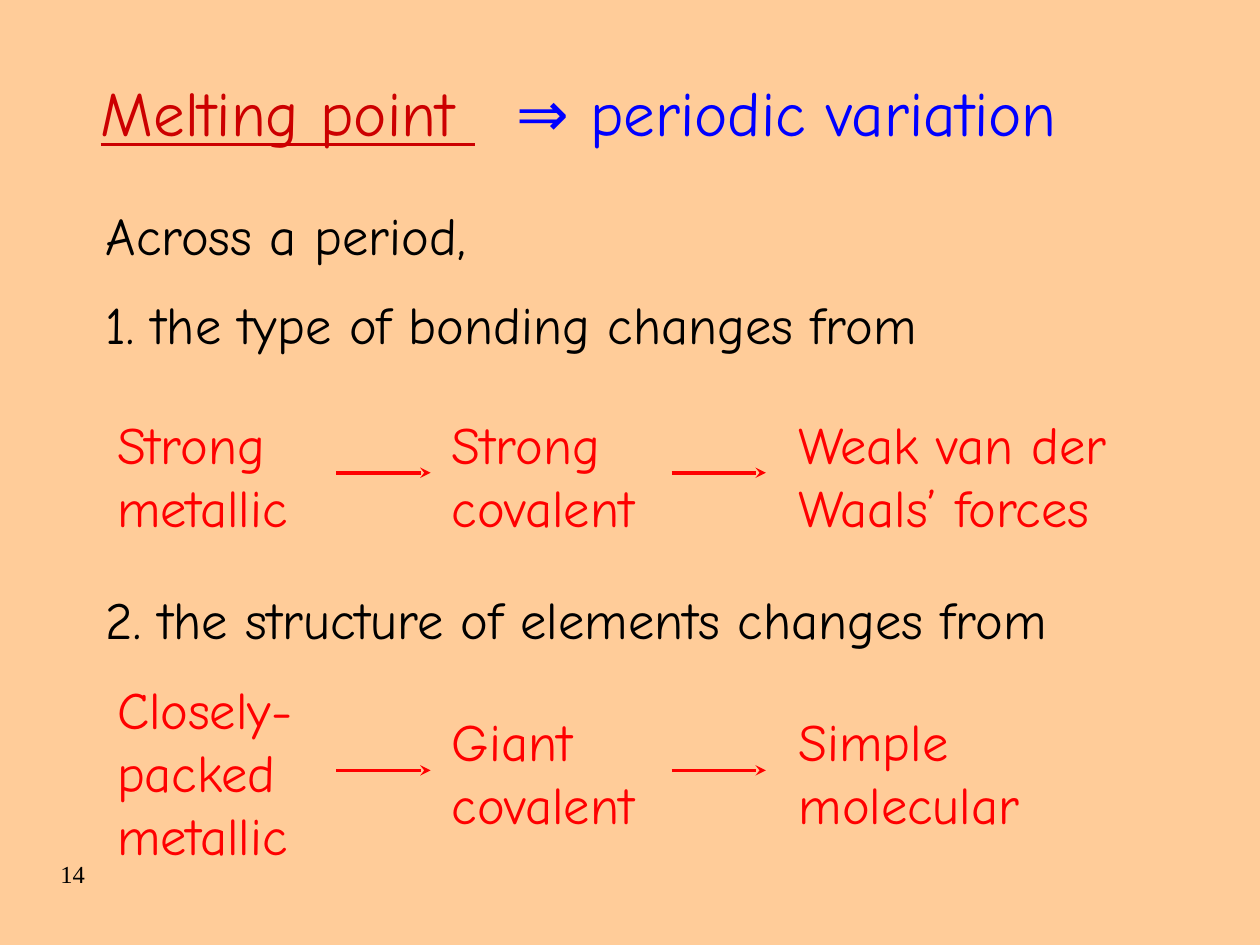
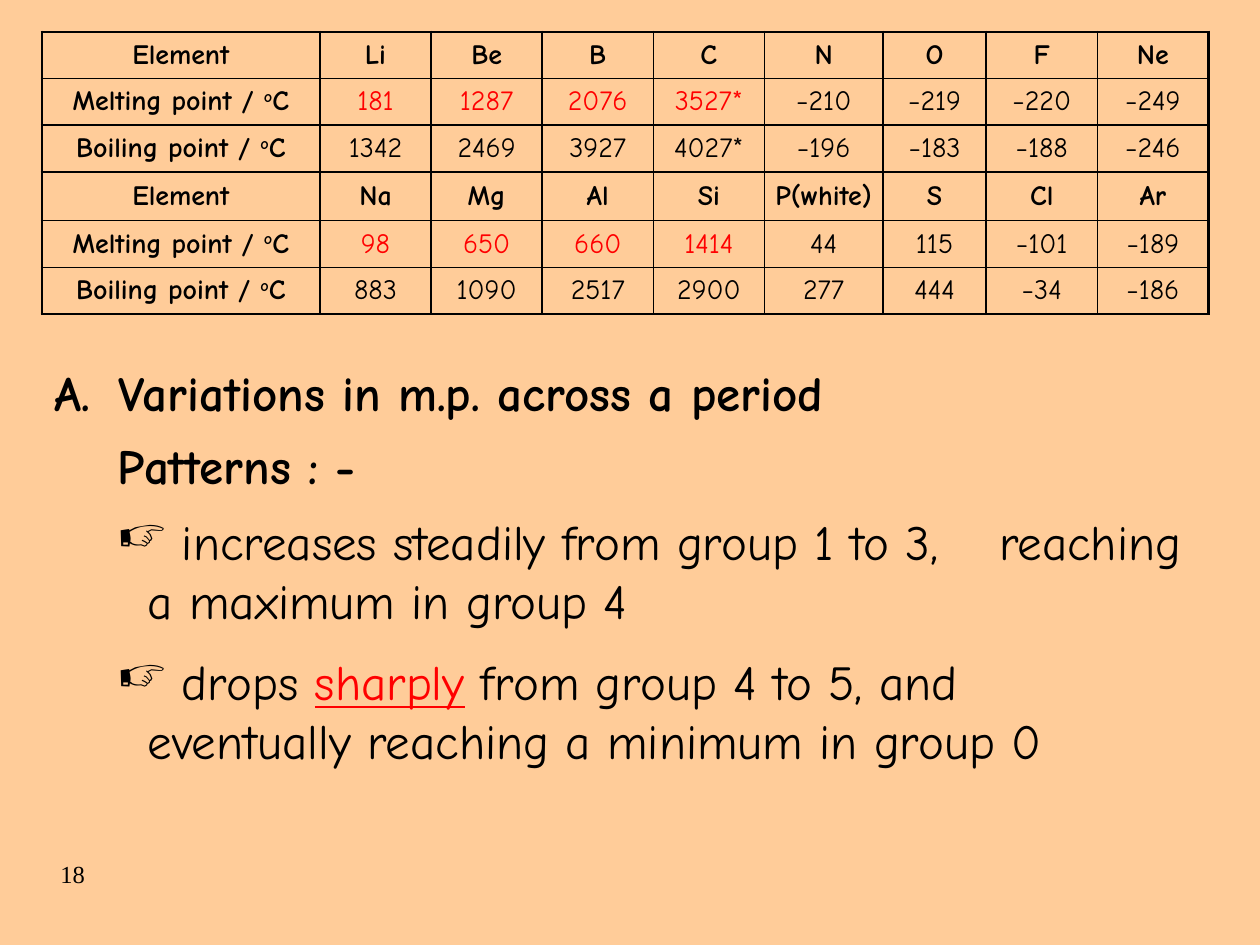
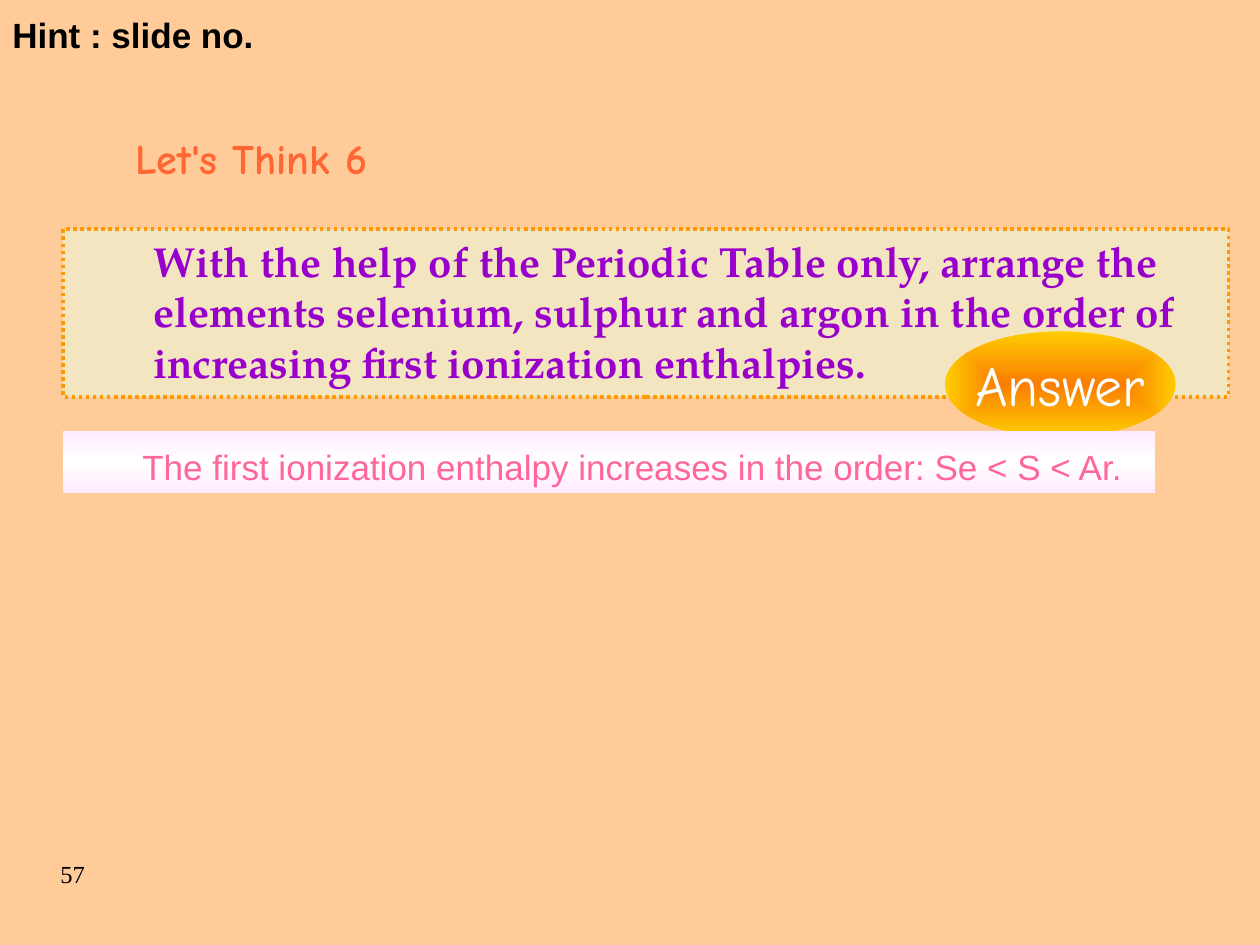
from dataclasses import dataclass

from lxml import etree
from pptx import Presentation
from pptx.dml.color import RGBColor
from pptx.enum.dml import MSO_LINE
from pptx.enum.shapes import MSO_CONNECTOR, MSO_SHAPE
from pptx.enum.text import MSO_ANCHOR, PP_ALIGN
from pptx.oxml.ns import qn
from pptx.util import Cm, Pt

MIDDLE = MSO_ANCHOR.MIDDLE
TOP = MSO_ANCHOR.TOP
LEFT = PP_ALIGN.LEFT
CENTER = PP_ALIGN.CENTER
STRAIGHT = MSO_CONNECTOR.STRAIGHT
RECTANGLE = MSO_SHAPE.RECTANGLE
OVAL = MSO_SHAPE.OVAL
ROUND_DOT = MSO_LINE.ROUND_DOT


@dataclass(frozen=True)
class Theme:
    """Colours, fonts and type sizes shared by the slides."""

    background: str = "FFCC99"
    ink: str = "000000"
    red: str = "FF0000"
    title: str = "CC0000"
    blue: str = "0000FF"
    question: str = "9900CC"
    question_fill: str = "E7FFE7"
    question_line: str = "FF9900"
    answer: str = "FF6699"
    answer_edge: str = "FFEBFF"
    heading: str = "FF6633"
    button_core: str = "F97E03"
    button_edge: str = "FFCC00"
    white: str = "FFFFFF"
    hand: str = "Comic Neue"
    serif: str = "TeX Gyre Pagella"
    sans: str = "Arial"
    number_font: str = "Times New Roman"
    title_size: int = 36
    button_size: int = 32
    body_size: int = 30
    list_size: int = 28
    question_size: int = 24
    hint_size: int = 20
    table_size: int = 16
    number_size: int = 14


THEME = Theme()

DEGREES = [("o", {"baseline": 30000}), "C"]
TABLE_ROWS = [
    ["Element", "Li", "Be", "B", "C", "N", "O", "F", "Ne"],
    ["Melting point / ", "181", "1287", "2076", "3527*", "−210", "−219", "−220", "−249"],
    ["Boiling point / ", "1342", "2469", "3927", "4027*", "−196", "−183", "−188", "−246"],
    ["Element", "Na", "Mg", "Al", "Si", "P(white)", "S", "Cl", "Ar"],
    ["Melting point / ", "98", "650", "660", "1414", "44", "115", "−101", "−189"],
    ["Boiling point / ", "883", "1090", "2517", "2900", "277", "444", "−34", "−186"],
]
COLUMN_WIDTHS = [5.61, 2.24, 2.24, 2.24, 2.24, 2.39, 2.08, 2.24, 2.24]
ROW_HEIGHTS = [0.94, 0.94, 0.94, 0.99, 0.94, 0.94]
ROWS_PER_PERIOD = 3


def rgb(color):
    """Turn a hex string into a colour."""
    return RGBColor.from_string(color)


def lengths(*values):
    """Turn centimetre values into lengths."""
    return [Cm(value) for value in values]


def format_run(run, size, color, font, bold=False, underline=False, baseline=0):
    """Set the character format of a run."""
    run.font.name = font
    run.font.size = Pt(size)
    run.font.bold = bold
    run.font.underline = underline
    run.font.color.rgb = rgb(color)
    if baseline:
        run._r.get_or_add_rPr().set("baseline", str(baseline))


def write_text(frame, *paragraphs, align=LEFT, anchor=TOP, wrap=True, indent=0, hanging=0,
               space_before=0, line_spacing=None, bullet=None, size=THEME.body_size,
               color=THEME.ink, font=THEME.hand, **style):
    """Fill a text frame; a paragraph is a string or a list of strings and (string, style) runs."""
    frame.word_wrap = wrap
    frame.vertical_anchor = anchor
    for index, runs in enumerate(paragraphs):
        paragraph = frame.add_paragraph() if index else frame.paragraphs[0]
        paragraph.alignment = align
        if index and space_before:
            paragraph.space_before = Pt(space_before)
        if line_spacing:
            paragraph.line_spacing = line_spacing
        properties = paragraph._p.get_or_add_pPr()
        if indent:
            properties.set("marL", str(Cm(indent)))
            properties.set("indent", str(-Cm(hanging)))
        if bullet:
            etree.SubElement(properties, qn("a:buChar"), char=bullet)
        for part in [runs] if isinstance(runs, str) else runs:
            text, changes = (part, {}) if isinstance(part, str) else part
            run = paragraph.add_run()
            run.text = text
            format_run(run, **{"size": size, "color": color, "font": font, **style, **changes})


def add_text(container, box, *paragraphs, **style):
    """Add a text box at box (left, top, width, height in cm)."""
    shape = container.shapes.add_textbox(*lengths(*box))
    write_text(shape.text_frame, *paragraphs, **style)


def add_panel(slide, kind, box, text, **style):
    """Add a preset shape with text and no line or shadow."""
    shape = slide.shapes.add_shape(kind, *lengths(*box))
    shape.shadow.inherit = False
    shape.line.fill.background()
    write_text(shape.text_frame, text, **style)
    return shape


def fill_gradient(shape, *colors, radial=False):
    """Fill a shape with evenly spaced colours, downwards or outwards from the centre."""
    shape.fill.gradient()
    gradient = shape._element.spPr.find(qn("a:gradFill"))
    gradient.clear()
    stops = etree.SubElement(gradient, qn("a:gsLst"))
    for index, color in enumerate(colors):
        position = 100000 * index // (len(colors) - 1)
        stop = etree.SubElement(stops, qn("a:gs"), pos=str(position))
        etree.SubElement(stop, qn("a:srgbClr"), val=color)
    if radial:
        outline = etree.SubElement(gradient, qn("a:path"), path="shape")
        etree.SubElement(outline, qn("a:fillToRect"), l="50000", t="50000", r="50000", b="50000")
    else:
        etree.SubElement(gradient, qn("a:lin"), ang="5400000", scaled="1")


def add_arrow(container, left, right, y):
    """Add a horizontal arrow that points right."""
    arrow = container.shapes.add_connector(STRAIGHT, *lengths(left, y, right, y))
    arrow.line.color.rgb = rgb(THEME.red)
    arrow.line.width = Pt(2)
    etree.SubElement(arrow.line._get_or_add_ln(), qn("a:tailEnd"), type="stealth")
    etree.SubElement(arrow._element.spPr, qn("a:effectLst"))


def add_change(slide, center, stages):
    """Add a row of (text, line count) stages joined by arrows."""
    group = slide.shapes.add_group_shape()
    places = [(2.11, 5.11), (8.86, 5.11), (15.85, 7.65)]
    for (left, width), (text, line_count) in zip(places, stages):
        height = 1.29 * line_count + 0.25
        add_text(group, (left, center - height / 2, width, height), text, color=THEME.red)
    for left in (6.78, 13.54):
        add_arrow(group, left, left + 1.9, center - 0.06)


def set_borders(cell, **widths):
    """Draw the cell borders with widths in points, in the order left, right, top, bottom."""
    properties = cell._tc.get_or_add_tcPr()
    for position, (side, width) in enumerate(widths.items()):
        line = etree.Element(qn(f"a:ln{side}"), w=str(Pt(width)))
        fill = etree.SubElement(line, qn("a:solidFill"))
        etree.SubElement(fill, qn("a:srgbClr"), val=THEME.ink)
        properties.insert(position, line)


def border_width(heavy):
    """Give the width of a heavy or a light rule."""
    return 1.5 if heavy else 1


def add_element_table(slide):
    """Add the table of melting and boiling points."""
    box = lengths(0.84, 0.64, sum(COLUMN_WIDTHS), sum(ROW_HEIGHTS))
    table = slide.shapes.add_table(len(TABLE_ROWS), len(COLUMN_WIDTHS), *box).table
    table.first_row = table.horz_banding = False
    for column, width in zip(table.columns, COLUMN_WIDTHS):
        column.width = Cm(width)
    for row, height in zip(table.rows, ROW_HEIGHTS):
        row.height = Cm(height)
    last = len(COLUMN_WIDTHS) - 1
    for row_index, values in enumerate(TABLE_ROWS):
        step = row_index % ROWS_PER_PERIOD
        for column_index, value in enumerate(values):
            cell = table.cell(row_index, column_index)
            cell.margin_left = cell.margin_right = Cm(0.05)
            cell.margin_top = cell.margin_bottom = 0
            cell.vertical_anchor = MIDDLE
            cell.fill.background()
            is_label = column_index == 0
            is_rising = step == 1 and 1 <= column_index <= 4
            write_text(cell.text_frame, [value, *DEGREES] if is_label and step else value,
                       anchor=None, wrap=None, align=CENTER, size=THEME.table_size,
                       bold=is_label or step == 0,
                       color=THEME.red if is_rising else THEME.ink)
            set_borders(cell, L=border_width(column_index <= 1),
                        R=border_width(column_index in (0, last)),
                        T=border_width(step == 0),
                        B=border_width(step == ROWS_PER_PERIOD - 1))


def add_slide(presentation, number):
    """Add a blank slide with its number."""
    slide = presentation.slides.add_slide(presentation.slide_layouts[6])
    add_text(slide, (0.97, 17.2, 3.61, 1.27), number,
             size=THEME.number_size, font=THEME.number_font)
    return slide


def build_variation(presentation):
    """Build the slide on bonding and structure across a period."""
    slide = add_slide(presentation, "14")
    titles = [(1.78, "Melting point ", THEME.title, True),
              (10.16, "⇒ periodic variation", THEME.blue, False)]
    for left, text, color, underline in titles:
        add_text(slide, (left, 1.07, 14.53, 2.34), text, anchor=MIDDLE,
                 size=THEME.title_size, color=color, underline=underline)
    add_text(slide, (1.88, 3.96, 22.89, 3.45), "Across a period,",
             "1. the type of bonding changes from", space_before=THEME.body_size / 2)
    add_change(slide, 9.59, [("Strong metallic", 2), ("Strong covalent", 2),
                             ("Weak van der Waals’ forces", 2)])
    add_text(slide, (1.88, 11.71, 22.89, 1.55), "2. the structure of elements changes from")
    add_change(slide, 15.59, [("Closely-packed metallic", 3), ("Giant covalent", 2),
                              ("Simple molecular", 2)])


def build_patterns(presentation):
    """Build the slide with the table and the patterns in it."""
    slide = add_slide(presentation, "18")
    add_element_table(slide)
    add_text(slide, (0.84, 7.19, 19.69, 1.45), "A.\tVariations in m.p. across a period",
             size=THEME.list_size, bold=True, indent=1.3, hanging=1.3)
    add_text(slide, (2.11, 8.66, 6.55, 1.45), "Patterns : -", size=THEME.list_size, bold=True)
    patterns = [
        " increases steadily from group 1 to 3, \treaching a maximum in group 4",
        [" drops ", ("sharply", {"color": THEME.red, "underline": True}),
         " from group 4 to 5, and \teventually reaching a minimum in group 0"],
    ]
    for index, pattern in enumerate(patterns):
        add_text(slide, (2.11, 10.19 + 2.82 * index, 22.02, 2.64), pattern,
                 size=THEME.list_size, bullet="☞", indent=0.62, hanging=0.62)


def build_question(presentation):
    """Build the slide with the question and its answer."""
    slide = add_slide(presentation, "57")
    question = add_panel(
        slide, RECTANGLE, (1.27, 4.62, 23.5, 3.38),
        "\tWith the help of the Periodic Table only, arrange the elements selenium, sulphur "
        "and argon in the order of increasing first ionization enthalpies.",
        size=THEME.question_size, font=THEME.serif, color=THEME.question, bold=True,
        indent=1.57, hanging=1.57)
    question.fill.solid()
    question.fill.fore_color.rgb = rgb(THEME.question_fill)
    fill_color = question._element.spPr.find(qn("a:solidFill")).find(qn("a:srgbClr"))
    etree.SubElement(fill_color, qn("a:alpha"), val="50000")
    question.line.color.rgb = rgb(THEME.question_line)
    question.line.width = Pt(2)
    question.line.dash_style = ROUND_DOT

    button = add_panel(slide, OVAL, (19.05, 6.68, 4.65, 2.13), "Answer", align=CENTER,
                       anchor=MIDDLE, wrap=False, size=THEME.button_size, color=THEME.white)
    fill_gradient(button, THEME.button_core, THEME.button_edge, radial=True)

    answer = add_panel(slide, RECTANGLE, (1.27, 8.68, 22.02, 1.27),
                       "\tThe first ionization enthalpy increases in the order: Se < S < Ar.",
                       size=THEME.hint_size, font=THEME.sans, color=THEME.answer,
                       indent=1.35, hanging=1.35, line_spacing=1.2)
    fill_gradient(answer, THEME.answer_edge, THEME.white, THEME.answer_edge)

    add_text(slide, (0, 0.15, 15.04, 1.09), "Hint : slide no.",
             size=THEME.hint_size, font=THEME.sans, bold=True)
    add_text(slide, (1.24, 2.54, 7.65, 1.98), "Let's Think 6", align=CENTER, wrap=False,
             size=THEME.question_size, color=THEME.heading, bold=True)


def main():
    """Build the presentation and save it."""
    presentation = Presentation()
    presentation.slide_width, presentation.slide_height = lengths(25.4, 19.05)
    background = presentation.slide_master.background.fill
    background.solid()
    background.fore_color.rgb = rgb(THEME.background)
    build_variation(presentation)
    build_patterns(presentation)
    build_question(presentation)
    presentation.save("out.pptx")


if __name__ == "__main__":
    main()
